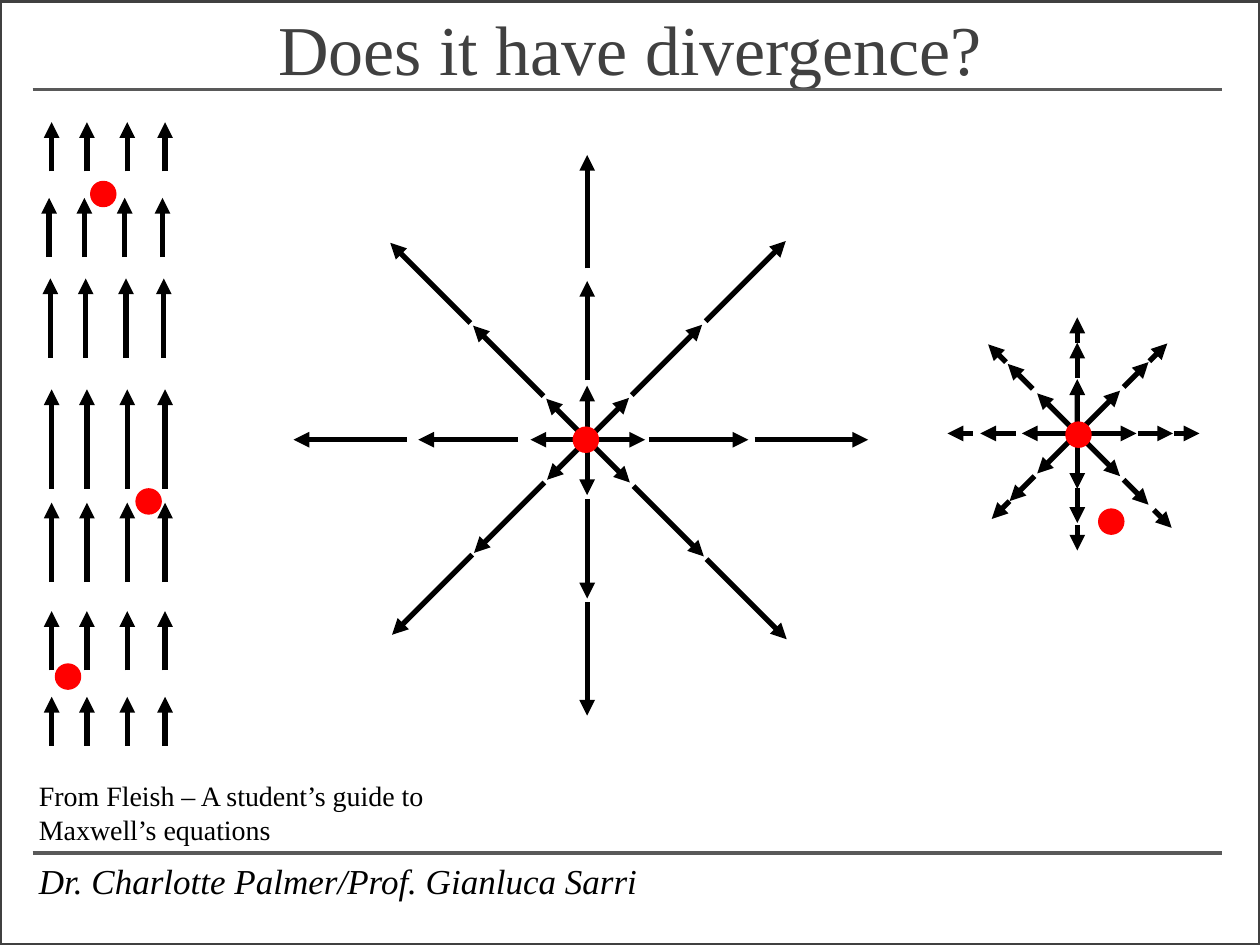
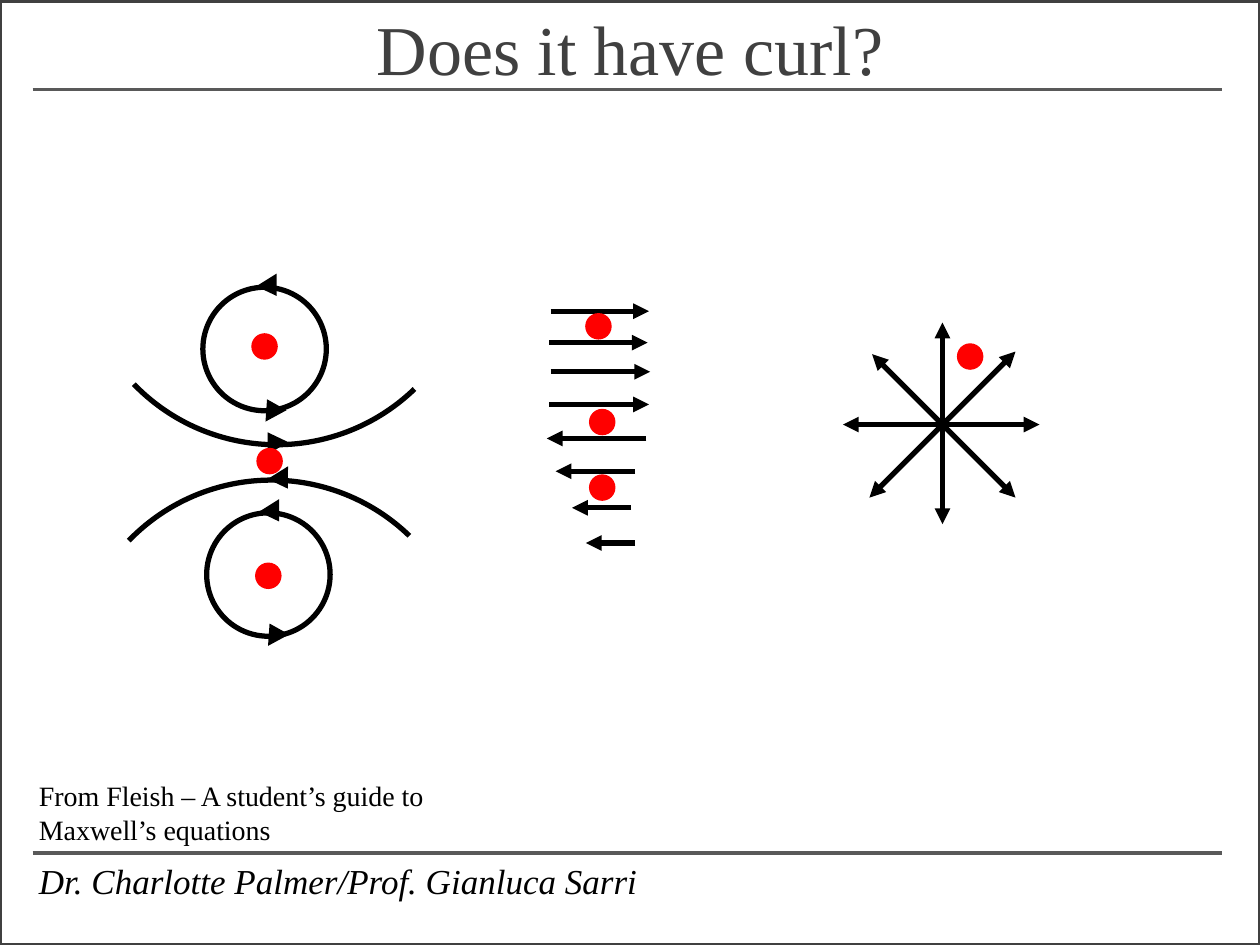
"""Build two slides on the divergence and curl of vector fields."""
import math
from dataclasses import dataclass

from pptx import Presentation
from pptx import util as u
from pptx.dml.color import RGBColor
from pptx.enum import shapes, text
from pptx.oxml.ns import qn
from lxml import etree


@dataclass(frozen=True)
class Theme:
    """Colours, fonts and sizes shared by the slides."""
    ink = RGBColor(0, 0, 0)
    title = RGBColor(0x40, 0x40, 0x40)
    rule = RGBColor(0x59, 0x59, 0x59)
    probe = RGBColor(0xFF, 0, 0)
    font = "Times New Roman"
    title_size = 40
    footer_size = 20
    source_size = 16
    frame_width = 2
    arrow_width = 3
    dot_width = 0.75
    dot_size = 0.2


@dataclass(frozen=True)
class Box:
    """An area in inches that can place points inside itself."""
    left: float
    top: float
    width: float
    height: float

    def at(self, x, y):
        """Return the slide position of an offset from the top left."""
        return self.left + x, self.top + y

    def inner(self, x, y, width, height):
        """Return a box offset from the top left of this one."""
        return Box(*self.at(x, y), width, height)

    def lengths(self):
        """Return left, top, width and height as lengths."""
        return [u.Inches(side) for side in (self.left, self.top, self.width, self.height)]


THEME = Theme()
PAGE = Box(0, 0, 10, 7.5)
SHAPE = shapes.MSO_SHAPE


def set_all(target, values):
    """Set each named attribute of the target."""
    for name, value in values.items():
        setattr(target, name, value)


def write(frame, words, size, color, align=text.PP_ALIGN.LEFT, italic=False):
    """Write one formatted paragraph in a text frame."""
    set_all(frame, {"word_wrap": True, "auto_size": text.MSO_AUTO_SIZE.NONE,
                    "vertical_anchor": text.MSO_ANCHOR.TOP})
    para = frame.paragraphs[0]
    para.alignment = align
    span = para.add_run()
    span.text = words
    set_all(span.font, {"name": THEME.font, "size": u.Pt(size), "italic": italic})
    span.font.color.rgb = color


def add_figure(page, kind, box, fill=None, line=None, width=THEME.arrow_width, rotation=0):
    """Add a preset shape with an optional fill and outline."""
    shape = page.shapes.add_shape(kind, *box.lengths())
    shape.shadow.inherit = False
    shape.rotation = rotation
    for paint, color in ((shape.fill, fill), (shape.line.fill, line)):
        if color is None:
            paint.background()
        else:
            paint.solid()
            paint.fore_color.rgb = color
    if line is not None:
        shape.line.width = u.Pt(width)


def add_line(page, start, end, color=THEME.ink, width=THEME.arrow_width, arrow=True):
    """Add a straight line, with an arrowhead at its end unless told not to."""
    ends = [u.Inches(value) for value in (*start, *end)]
    line = page.shapes.add_connector(shapes.MSO_CONNECTOR.STRAIGHT, *ends)
    line.line.color.rgb = color
    line.line.width = u.Pt(width)
    if arrow:
        etree.SubElement(line.line._get_or_add_ln(), qn("a:tailEnd"), type="triangle")
    etree.SubElement(line._element.spPr, qn("a:effectLst"))


def add_probes(page, box, spots):
    """Add red dots at offsets within the box."""
    for x, y in spots:
        add_figure(page, SHAPE.OVAL, box.inner(x, y, THEME.dot_size, THEME.dot_size),
                   THEME.probe, THEME.probe, THEME.dot_width)


def add_page(deck, title, box):
    """Add a titled page with its frame, rules, footer and source."""
    page = deck.slides.add_slide(deck.slide_layouts[5])
    heading = page.shapes.title
    place = box.inner(0, -0.01, box.width, 0.77).lengths()
    set_all(heading, dict(zip(("left", "top", "width", "height"), place)))
    write(heading.text_frame, title, THEME.title_size, THEME.title, text.PP_ALIGN.CENTER)
    add_figure(page, SHAPE.RECTANGLE, box.inner(0, 0.01, box.width, 7.49),
               line=THEME.title, width=THEME.frame_width)
    for y in (0.71, 6.77):
        add_line(page, box.at(0.26, y), box.at(9.7, y), THEME.rule, THEME.frame_width, False)
    notes = (
        ("Dr. Charlotte Palmer/Prof. Gianluca Sarri", (0.21, 6.77, 9.49, 0.44),
         THEME.footer_size, True),
        ("From Fleish – A student’s guide to Maxwell’s equations", (0.21, 6.13, 3.45, 0.64),
         THEME.source_size, False),
    )
    for words, area, size, italic in notes:
        note = page.shapes.add_textbox(*box.inner(*area).lengths())
        write(note.text_frame, words, size, THEME.ink, italic=italic)
    return page


def add_upward_field(page, box):
    """Add rows of upward arrows that grow towards the middle."""
    columns = (0, 0.28, 0.6, 0.9)
    rows = ((0, 0.39, 0), (0.6, 0.47, -0.02), (1.24, 0.63, -0.01), (2.12, 0.79, 0),
            (3.02, 0.63, 0), (3.88, 0.47, 0), (4.56, 0.39, 0))
    for head, length, shift in rows:
        for column in columns:
            x = column + shift
            add_line(page, box.at(x, head + length), box.at(x, head))
    add_probes(page, box, ((0.03, 4.3), (0.67, 2.91), (0.31, 0.47)))


def add_radial_field(page, box, lengths, arms, probes):
    """Add arrows outward from the box centre, clockwise from the right."""
    x, y = box.width / 2, box.height / 2
    for step, starts in enumerate(arms):
        angle = math.tau * step / len(arms)
        across, down = math.cos(angle), math.sin(angle)
        for start, length in zip(starts, lengths):
            end = start + length
            add_line(page, box.at(x + start * across, y + start * down),
                     box.at(x + end * across, y + end * down))
    add_probes(page, box, probes)


def add_shear_field(page, box):
    """Add horizontal arrows whose direction reverses down the box."""
    arrows = ((0, 0.03, 0.81), (0.25, 0.02, 0.8), (0.48, 0.03, 0.82), (0.74, 0.02, 0.81),
              (1.01, 0.79, 0), (1.27, 0.7, 0.07), (1.56, 0.67, 0.2), (1.84, 0.7, 0.31))
    for y, start, end in arrows:
        add_line(page, box.at(start, y), box.at(end, y))
    add_probes(page, box, ((0.31, 0.02), (0.34, 0.78), (0.34, 1.3)))


def add_vortex_pair(page, box):
    """Add two circulating loops with bowed streamlines between them."""
    curves = ((SHAPE.ARC, -0.42, 1.61, 3.15, 314), (SHAPE.ARC, -0.38, -1.82, 3.15, 136),
              (SHAPE.OVAL, 0.61, 0.08, 0.98, 0), (SHAPE.OVAL, 0.64, 1.87, 0.98, 0))
    for kind, x, y, size, turn in curves:
        add_figure(page, kind, box.inner(x, y, size, size), line=THEME.ink, rotation=turn)
    heads = ((1.07, 1.22, 327.9), (1.15, 1.54, 147.9), (1.08, 1.8, 147.9),
             (1.08, 2.74, 331.6), (1.06, 0.96, 331.6), (1.06, 0.01, 147.9))
    for x, y, turn in heads:
        add_figure(page, SHAPE.ISOSCELES_TRIANGLE, box.inner(x, y, 0.19, 0.15),
                   THEME.ink, rotation=turn)
    add_probes(page, box, ((1.04, 1.36), (1.03, 2.27), (1, 0.45)))


def add_divergence_page(deck):
    """Add the page of fields to test for divergence."""
    page = add_page(deck, "Does it have divergence?", PAGE)
    add_upward_field(page, Box(0.41, 0.97, 0.9, 4.95))
    growing_arms = ((0.07, 0.49, 1.33), (0.09, 0.52, 1.34), (0.05, 0.47, 1.29),
                    (0.06, 0.48, 1.29), (0.06, 0.55, 1.43), (0.07, 0.49, 1.31),
                    (0.04, 0.47, 1.36), (0.08, 0.5, 1.33))
    add_radial_field(page, Box(2.33, 1.16, 4.66, 4.66), (0.39, 0.79, 0.9),
                     growing_arms, [(2.22, 2.23)])
    fading_arms = ((0.08, 0.48, 0.77), (0.09, 0.52, 0.86), (0.05, 0.43, 0.73),
                   (0.06, 0.48, 0.76), (0.05, 0.49, 0.83), (0.06, 0.5, 0.8),
                   (0.04, 0.44, 0.72), (0.09, 0.52, 0.81))
    add_radial_field(page, Box(7.55, 2.44, 2, 2), (0.39, 0.28, 0.2),
                     fading_arms, [(0.91, 0.91), (1.17, 1.6)])


def add_curl_page(deck):
    """Add the page of fields to test for curl."""
    page = add_page(deck, "Does it have curl?", PAGE)
    add_shear_field(page, Box(4.34, 2.47, 0.82, 1.84))
    starts = (-0.02, 0.03, 0, 0.03, 0, 0, 0.02, 0.03)
    add_radial_field(page, Box(6.48, 2.37, 2, 2), [0.79],
                     [[start] for start in starts], [(1.12, 0.36)])
    add_vortex_pair(page, Box(1, 2.2, 2.3, 2.95))


def main():
    """Build and save the deck."""
    deck = Presentation()
    set_all(deck, {"slide_width": u.Inches(PAGE.width), "slide_height": u.Inches(PAGE.height)})
    add_divergence_page(deck)
    add_curl_page(deck)
    deck.save("out.pptx")


if __name__ == "__main__":
    main()
